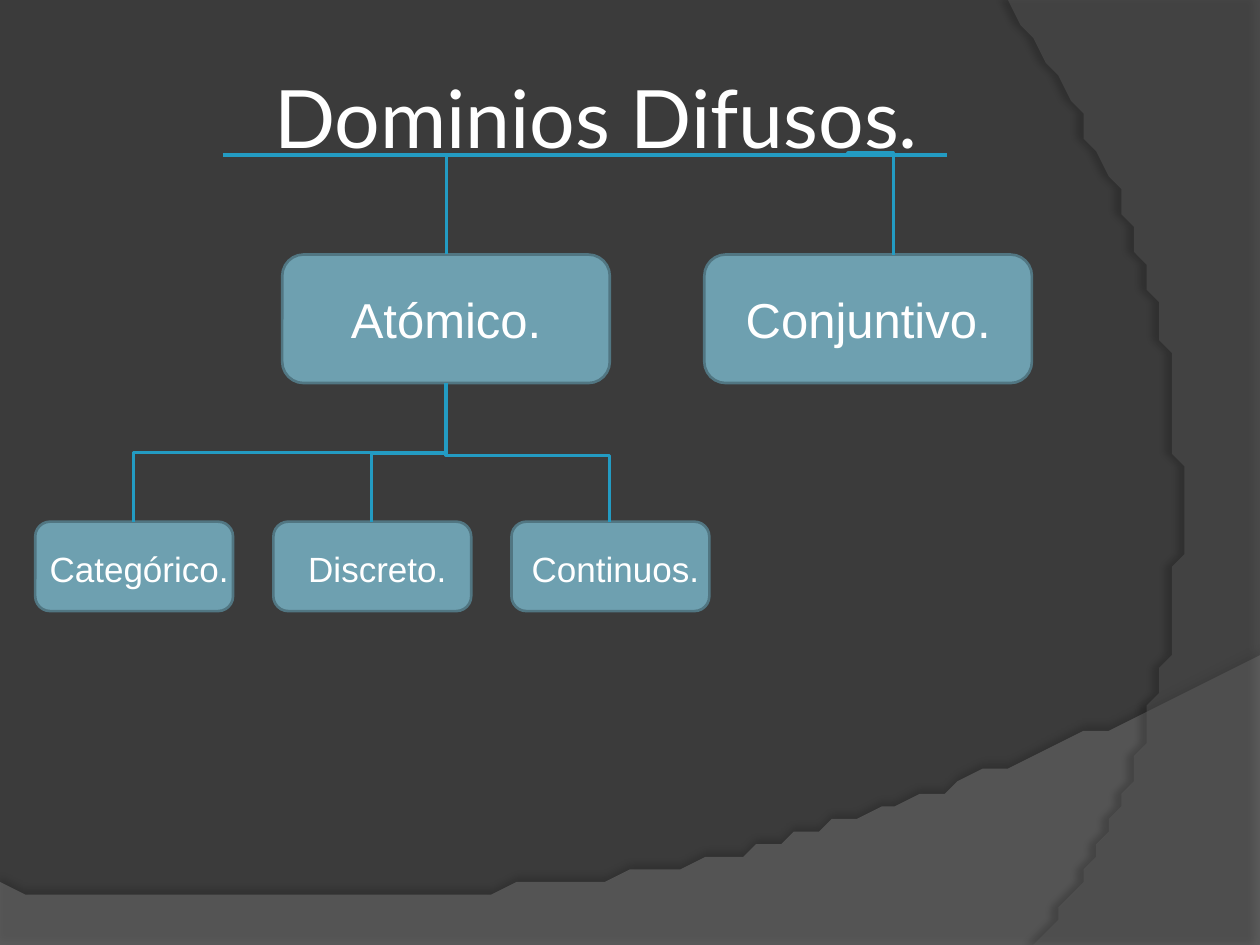
from lxml import etree
from pptx import Presentation
from pptx import util as u
from pptx.dml.color import RGBColor
from pptx.enum import shapes, text
from pptx.oxml import ns

COLORS = {
    "background": "3B3B3B", "hill": "7F7F7F", "arc": "5E5E5E", "shadow": "000000",
    "box": "6EA0B0", "border": "517682", "link": "239BC2", "text": "FFFFFF",
}
CELL = u.Inches(0.1)
COLUMNS, ROWS = 100, 75
RGB = {role: RGBColor.from_string(value) for role, value in COLORS.items()}


def grid(*cells):
    return [u.Emu(round(cell * CELL)) for cell in cells]


def elbow(x1, y1, x2, y2, bend=None):
    rightward, upward = x2 > x1, y2 < y1
    middle_x, middle_y = (x1 + x2) / 2, (y1 + y2) / 2
    half_x, half_y = abs(y2 - y1) / 2, abs(x2 - x1) / 2
    if rightward:
        half_x = -half_x
    if upward:
        half_y = -half_y
    link = slide.shapes.add_connector(
        shapes.MSO_CONNECTOR.ELBOW,
        *grid(middle_x - half_x, middle_y - half_y, middle_x + half_x, middle_y + half_y))
    properties = link._element.spPr
    turn = 270 if rightward and not upward else 90
    properties.find(ns.qn("a:xfrm")).set("rot", str(turn * 60000))
    geometry = properties.find(ns.qn("a:prstGeom"))
    if bend is None:
        geometry.set("prst", "bentConnector2")
    else:
        guides = geometry.find(ns.qn("a:avLst"))
        etree.SubElement(guides, ns.qn("a:gd"), name="adj1", fmla=f"val {round(bend * 100000)}")
    return link


deck = Presentation()
deck.slide_width, deck.slide_height = grid(COLUMNS, ROWS)
slide = deck.slides.add_slide(deck.slide_layouts[5])
slide.background.fill.solid()
slide.background.fill.fore_color.rgb = RGB["background"]

swooshes = [
    ("hill", [(0, 70.5), (0, ROWS), (COLUMNS, ROWS)],
     [(COLUMNS, 52), (55.9, 72.9), (39.1, 71.9), (0, 70.5)], 45, 35, 3.5, 270),
    ("arc", [(COLUMNS, 0.2), (COLUMNS, ROWS)],
     [(82.1, ROWS), (93.5, 61.9), (101.8, 30), (80, 0)], 40, 45, 4, 180),
]
for role, corners, curve, opacity, shade, distance, direction in swooshes:
    outline = list(corners)
    for step in range(61):
        t = step / 60
        weights = ((1 - t) ** 3, 3 * t * (1 - t) ** 2, 3 * t ** 2 * (1 - t), t ** 3)
        outline.append(tuple(sum(w * p[axis] for w, p in zip(weights, curve)) for axis in (0, 1)))
    builder = slide.shapes.build_freeform(*outline[0], scale=CELL)
    builder.add_line_segments(outline[1:], close=True)
    swoosh = builder.convert_to_shape()
    swoosh.fill.solid()
    swoosh.fill.fore_color.rgb = RGB[role]
    swoosh.line.fill.background()
    swoosh.shadow.inherit = False
    properties = swoosh._element.spPr
    tint = properties.find(ns.qn("a:solidFill"))[0]
    etree.SubElement(tint, ns.qn("a:alpha"), val=str(opacity * 1000))
    shadow = etree.SubElement(
        properties.find(ns.qn("a:effectLst")), ns.qn("a:outerShdw"),
        blurRad=str(u.Pt(4)), dist=str(u.Pt(distance)), dir=str(direction * 60000),
        algn="ctr", rotWithShape="0")
    shade_color = etree.SubElement(shadow, ns.qn("a:srgbClr"), val=COLORS["shadow"])
    etree.SubElement(shade_color, ns.qn("a:alpha"), val=str(shade * 1000))

heading = slide.shapes.title
slide.shapes._spTree.append(heading._element)
heading.left, heading.top, heading.width, heading.height = grid(2.8, 3, 89, 12.5)
frame = heading.text_frame
frame.text = "Dominios Difusos."
frame.vertical_anchor = text.MSO_ANCHOR.MIDDLE
frame.margin_left = frame.margin_right = frame.margin_top = frame.margin_bottom = u.Inches(0.05)
heading_line = frame.paragraphs[0]
heading_line.alignment = text.PP_ALIGN.CENTER
heading_line.font.name, heading_line.font.size = "Lato", u.Pt(46)
heading_line.font.color.rgb = RGB["text"]

levels = [
    (["Atómico.", "Conjuntivo."], 22.4, 33.5, 20.2, 26, 10.2, (0.8, 2.3, 24.4, 5.7), 28),
    (["Categórico.", "Discreto.", "Continuos."], 2.8, 18.9, 41.4, 15.7, 7.1, (0, 1.6, 16.5, 4.4), 20),
]
for names, left, pitch, top, width, height, (inset, drop, label_width, label_height), size in levels:
    for index, name in enumerate(names):
        x = left + index * pitch
        box = slide.shapes.add_shape(
            shapes.MSO_SHAPE.ROUNDED_RECTANGLE, *grid(x, top, width, height))
        box.shadow.inherit = False
        box.fill.solid()
        box.fill.fore_color.rgb = RGB["box"]
        box.line.color.rgb, box.line.width = RGB["border"], u.Pt(1.5)
        label = slide.shapes.add_textbox(*grid(x + inset, top + drop, label_width, label_height))
        label.text_frame.word_wrap = True
        label.text_frame.text = name
        caption = label.text_frame.paragraphs[0]
        caption.alignment = text.PP_ALIGN.CENTER
        caption.font.name, caption.font.size = "Arial", u.Pt(size)
        caption.font.color.rgb = RGB["text"]

atomic, conjunctive, rule = 35.4, 70.9, 12.3
links = [elbow(atomic, 30.4, 10.6 + 18.9 * index, 41.4, bend)
         for index, bend in enumerate((0.5, 0.51, 0.52))]
underline = slide.shapes.add_connector(
    shapes.MSO_CONNECTOR.STRAIGHT, *grid(17.7, rule, 75.2, rule))
links += [underline,
          elbow(atomic, 20.2, 46.9, rule),
          elbow(67.3, rule, conjunctive, 20.2, -0.02)]
for link in links:
    link.line.color.rgb = RGB["link"]
    link.line.width = u.Pt(2.5 if link is underline else 1.75)
    etree.SubElement(link._element.spPr, ns.qn("a:effectLst"))

deck.save("out.pptx")
